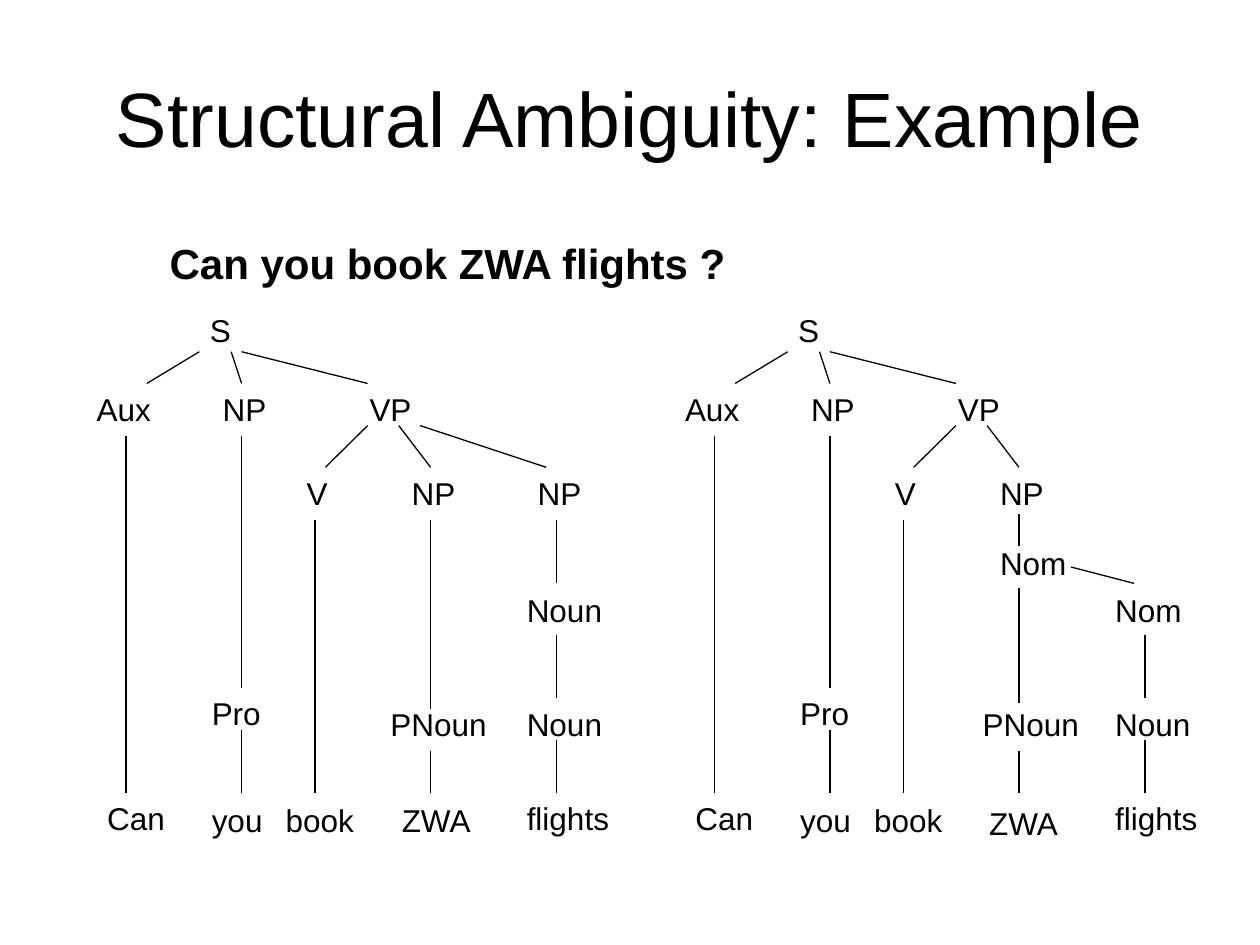
from typing import NamedTuple

from lxml.etree import SubElement
from pptx import Presentation
from pptx.dml.color import RGBColor
from pptx.enum.shapes import MSO_CONNECTOR
from pptx.enum.text import MSO_ANCHOR, MSO_AUTO_SIZE, PP_ALIGN
from pptx.oxml.ns import qn
from pptx.shapes.shapetree import _BaseGroupShapes as ShapeTree
from pptx.text.text import _Paragraph as Paragraph
from pptx.util import Cm, Pt

BLACK = "000000"
TREE_OFFSET = 11.86
LABEL_HEIGHT = 1.02


class Label(NamedTuple):
    text: str
    left: float
    top: float
    width: float


class Branch(NamedTuple):
    start_x: float
    start_y: float
    end_x: float
    end_y: float


SHARED_LABELS = [
    Label("S", 3.98, 6.15, 0.95),
    Label("Aux", 1.70, 7.74, 1.65),
    Label("NP", 4.24, 7.74, 1.42),
    Label("VP", 7.20, 7.74, 1.40),
    Label("V", 5.93, 9.43, 0.95),
    Label("NP", 8.05, 9.43, 1.42),
    Label("Pro", 4.02, 13.87, 1.55),
    Label("Noun", 10.37, 14.08, 2.08),
    Label("Can", 1.91, 15.98, 1.72),
    Label("you", 4.02, 16.03, 1.58),
    Label("book", 5.51, 16.03, 1.93),
    Label("flights", 10.37, 15.98, 2.21),
]
SHARED_BRANCHES = [
    Branch(4.02, 7.09, 2.96, 7.73),
    Branch(4.66, 7.09, 4.87, 7.73),
    Branch(4.87, 7.09, 7.41, 7.73),
    Branch(7.41, 8.58, 6.56, 9.42),
    Branch(8.04, 8.58, 8.68, 9.42),
    Branch(2.54, 8.79, 2.54, 15.98),
    Branch(4.87, 8.79, 4.87, 13.87),
    Branch(4.87, 14.71, 4.87, 15.98),
    Branch(6.35, 10.48, 6.35, 15.98),
    Branch(8.68, 15.14, 8.68, 15.98),
    Branch(11.22, 12.80, 11.22, 14.07),
    Branch(11.22, 14.92, 11.22, 15.98),
]
FLAT_LABELS = [
    Label("NP", 10.59, 9.43, 1.42),
    Label("Noun", 10.37, 11.79, 2.08),
    Label("PNoun", 7.62, 14.08, 2.50),
    Label("ZWA", 7.85, 16.03, 1.96),
]
FLAT_BRANCHES = [
    Branch(8.47, 8.58, 11.01, 9.42),
    Branch(8.68, 10.48, 8.68, 14.29),
    Branch(11.22, 10.48, 11.22, 11.76),
]
NESTED_LABELS = [
    Label("Nom", 8.05, 10.85, 1.90),
    Label("Nom", 10.37, 11.79, 1.90),
    Label("PNoun", 7.70, 14.08, 2.50),
    Label("ZWA", 7.83, 16.08, 1.96),
]
NESTED_BRANCHES = [
    Branch(8.68, 10.37, 8.68, 11.00),
    Branch(9.73, 11.43, 11.00, 11.76),
    Branch(8.68, 11.86, 8.68, 14.18),
]


def color(value: str) -> RGBColor:
    return RGBColor.from_string(value)


def style(paragraph: Paragraph, size: float, bold: bool = False) -> None:
    font = paragraph.font
    font.name = "Arial"
    font.size = Pt(size)
    font.bold = bold
    font.color.rgb = color(BLACK)


def draw_label(shapes: ShapeTree, label: Label, offset: float = 0,
               height: float = LABEL_HEIGHT, size: float = 18, bold: bool = False) -> None:
    box = shapes.add_textbox(Cm(label.left + offset), Cm(label.top),
                             Cm(label.width), Cm(height))
    frame = box.text_frame
    frame.word_wrap = False
    frame.auto_size = MSO_AUTO_SIZE.SHAPE_TO_FIT_TEXT
    frame.text = label.text
    style(frame.paragraphs[0], size, bold)


def draw_branch(shapes: ShapeTree, branch: Branch, offset: float) -> None:
    connector = shapes.add_connector(
        MSO_CONNECTOR.STRAIGHT,
        Cm(branch.start_x + offset), Cm(branch.start_y),
        Cm(branch.end_x + offset), Cm(branch.end_y))
    connector.line.color.rgb = color(BLACK)
    connector.line.width = Pt(0.75)
    SubElement(connector._element.spPr, qn("a:effectLst"))


def draw_tree(shapes: ShapeTree, labels: list[Label], branches: list[Branch],
              offset: float = 0) -> None:
    for label in SHARED_LABELS + labels:
        draw_label(shapes, label, offset)
    for branch in SHARED_BRANCHES + branches:
        draw_branch(shapes, branch, offset)


def main() -> None:
    presentation = Presentation()
    presentation.slide_width = Cm(25.4)
    presentation.slide_height = Cm(19.05)
    slide = presentation.slides.add_slide(presentation.slide_layouts[5])

    title = slide.shapes.title
    title.left, title.top, title.width, title.height = Cm(1.27), Cm(0.76), Cm(22.86), Cm(3.18)
    title.text_frame.text = "Structural Ambiguity: Example"
    title.text_frame.vertical_anchor = MSO_ANCHOR.MIDDLE
    heading = title.text_frame.paragraphs[0]
    heading.alignment = PP_ALIGN.CENTER
    style(heading, 44)

    sentence = Label("Can you book ZWA flights ?", 3.17, 4.67, 11.79)
    draw_label(slide.shapes, sentence, height=1.27, size=24, bold=True)
    draw_tree(slide.shapes, NESTED_LABELS, NESTED_BRANCHES, TREE_OFFSET)
    draw_tree(slide.shapes.add_group_shape().shapes, FLAT_LABELS, FLAT_BRANCHES)
    presentation.save("out.pptx")


if __name__ == "__main__":
    main()
